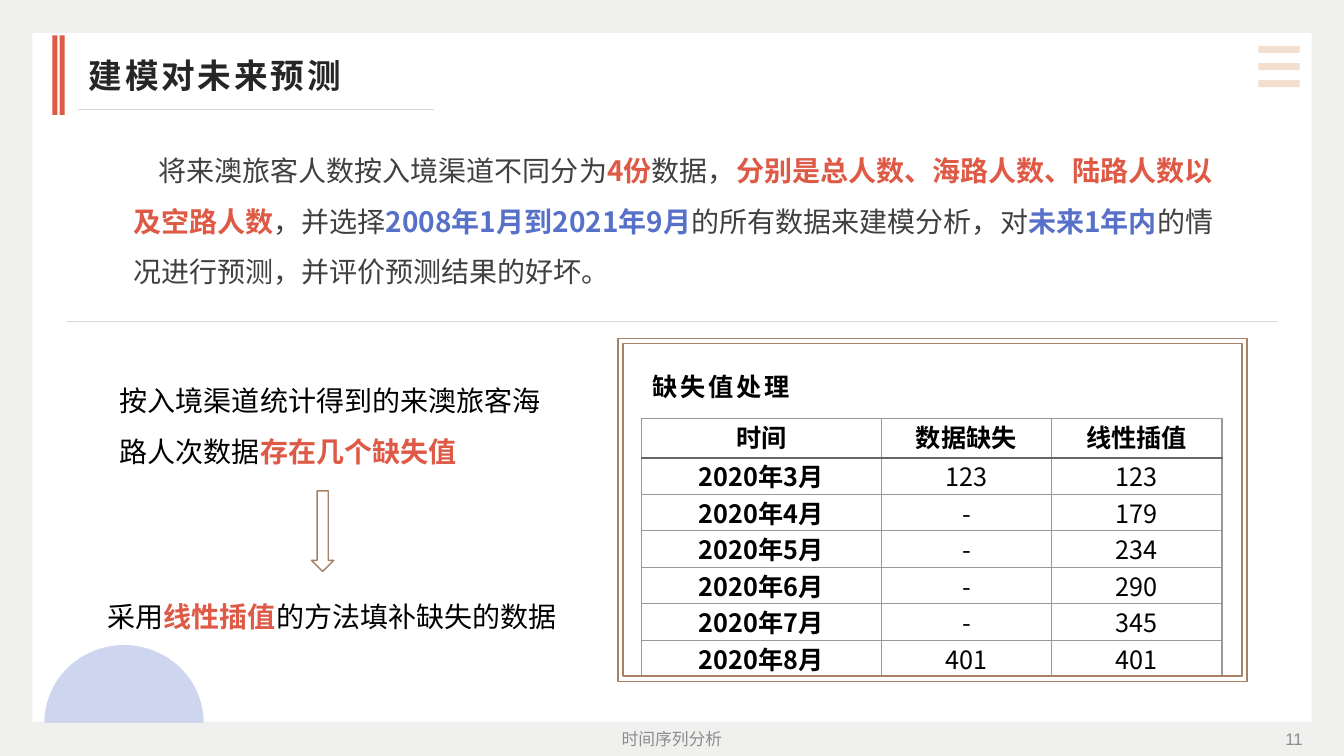
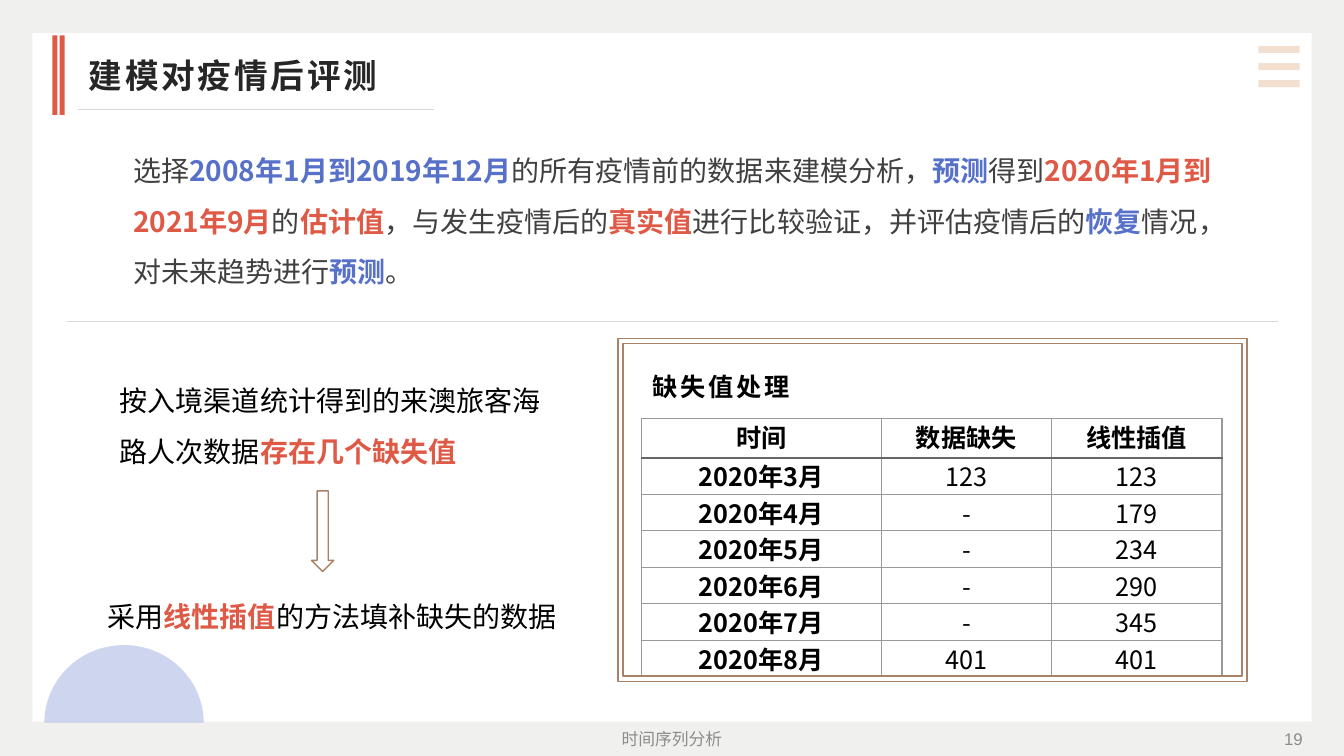
from math import cos, pi, sin

from lxml import etree
from pptx import Presentation
from pptx.dml.color import RGBColor
from pptx.enum.shapes import MSO_CONNECTOR, MSO_SHAPE as Preset
from pptx.enum.text import MSO_ANCHOR as Anchor, MSO_AUTO_SIZE, PP_ALIGN as Align
from pptx.oxml.ns import qn
from pptx.util import Inches, Pt

SANS, ARIAL = "Noto Sans CJK SC", "Arial"
RED, BLUE, BLACK, BROWN = "DE5A46", "5771C9", "000000", "A78266"
BODY, TITLE, FOOTER = "404040", "262626", "8C8C8C"
GRID, HEADER_RULE = "999999", "666666"

SLIDES = [
    {
        "title": "建模对未来预测",
        "number": "11",
        "indent": 0.25,
        "summary": [
            ("将来澳旅客人数按入境渠道不同分为", BODY), ("4份", RED), ("数据，", BODY),
            ("分别是总人数、海路人数、陆路人数以及空路人数", RED), ("，并选择", BODY),
            ("2008年1月到2021年9月", BLUE), ("的所有数据来建模分析，对", BODY),
            ("未来1年内", BLUE), ("的情况进行预测，并评价预测结果的好坏。", BODY),
        ],
    },
    {
        "title": "建模对疫情后评测",
        "number": "19",
        "indent": 0,
        "summary": [
            ("选择", BODY), ("2008年1月到2019年12月", BLUE),
            ("的所有疫情前的数据来建模分析，", BODY), ("预测", BLUE), ("得到", BODY),
            ("2020年1月到2021年9月", RED), ("的", BODY), ("估计值", RED),
            ("，与发生疫情后的", BODY), ("真实值", RED),
            ("进行比较验证，并评估疫情后的", BODY), ("恢复", BLUE),
            ("情况，对未来趋势进行", BODY), ("预测", BLUE), ("。", BODY),
        ],
    },
]
PROBLEM = [("按入境渠道统计得到的来澳旅客海路人次数据", BLACK), ("存在几个缺失值", RED)]
SOLUTION = [("采用", BLACK), ("线性插值", RED), ("的方法填补缺失的数据", BLACK)]
TABLE_TITLE = "缺失值处理"
TABLE = [
    ("时间", "数据缺失", "线性插值"),
    ("2020年3月", "123", "123"),
    ("2020年4月", "-", "179"),
    ("2020年5月", "-", "234"),
    ("2020年6月", "-", "290"),
    ("2020年7月", "-", "345"),
    ("2020年8月", "401", "401"),
]
COLUMN_WIDTHS = (2.38, 1.69, 1.69)
HEADER_HEIGHT, ROW_HEIGHT = 0.39, 0.31
FOOTER_TEXT = "时间序列分析"

TIGHT = (0.11, 0, 0.09, 0)
DEFAULT_INSETS = (0.1, 0.05, 0.1, 0.05)


def rgb(value):
    return RGBColor.from_string(value)


def set_alpha(fill, percent):
    """Make a solid fill, or the fill of a line, partly transparent."""
    colour = fill._xPr.find(qn("a:solidFill"))[0]
    etree.SubElement(colour, qn("a:alpha")).set("val", str(percent * 1000))


def set_insets(target, insets):
    for side, value in zip(("left", "top", "right", "bottom"), insets):
        setattr(target, f"margin_{side}", Inches(value))


def write(paragraph, runs, size, font=SANS, bold=False, spacing=0, **layout):
    """Add (text, colour) runs; accent colours are always bold."""
    for name, value in layout.items():
        setattr(paragraph, name, value)
    for text, colour in runs:
        run = paragraph.add_run()
        run.text = text
        values = {"size": Pt(size), "name": font, "bold": bold or colour in (RED, BLUE)}
        for name, value in values.items():
            setattr(run.font, name, value)
        run.font.color.rgb = rgb(colour)
        properties = run.font._element
        etree.SubElement(properties, qn("a:ea")).set("typeface", SANS)
        if spacing:
            properties.set("spc", str(spacing * 100))


def prepare_frame(shape, box, insets, anchor):
    shape.left, shape.top, shape.width, shape.height = map(Inches, box)
    frame = shape.text_frame
    values = {"word_wrap": True, "auto_size": MSO_AUTO_SIZE.NONE, "vertical_anchor": anchor}
    for name, value in values.items():
        setattr(frame, name, value)
    set_insets(frame, insets)
    return frame.paragraphs[0]


def add_text(slide, box, runs, size, insets=DEFAULT_INSETS, anchor=Anchor.TOP, **style):
    shape = slide.shapes.add_textbox(*map(Inches, box))
    paragraph = prepare_frame(shape, box, insets, anchor)
    write(paragraph, runs, size, **style)
    return paragraph


def paint(shape, fill=None, line=None):
    shape.shadow.inherit = False
    if fill:
        shape.fill.solid()
        shape.fill.fore_color.rgb = rgb(fill)
    else:
        shape.fill.background()
    if line:
        shape.line.color.rgb = rgb(line)
        shape.line.width = Pt(1)
    else:
        shape.line.fill.background()
    return shape


def add_preset(slide, preset, box, **colours):
    return paint(slide.shapes.add_shape(preset, *map(Inches, box)), **colours)


def add_rule(slide, left, right, y, colour, width):
    rule = slide.shapes.add_connector(
        MSO_CONNECTOR.STRAIGHT, *map(Inches, (left, y, right, y)))
    rule.line.color.rgb = rgb(colour)
    rule.line.width = Pt(width)
    etree.SubElement(rule._element.spPr, qn("a:effectLst"))
    return rule


def add_dome(slide, left, top, width, height, steps=60):
    points = [
        (Inches(left + width / 2 * (1 - cos(pi * step / steps))),
         Inches(top + height * (1 - sin(pi * step / steps))))
        for step in range(steps + 1)
    ]
    builder = slide.shapes.build_freeform(*points[0])
    builder.add_line_segments(points[1:], close=True)
    dome = paint(builder.convert_to_shape(), fill="9FAEE0")
    set_alpha(dome.fill, 50)
    return dome


def build_layout(layout, slide):
    """Put the background, panel, menu lines and dome on the layout."""
    layout.background.fill.solid()
    layout.background.fill.fore_color.rgb = rgb("F0F0EF")
    for placeholder in list(layout.placeholders):
        if placeholder.placeholder_format.idx:
            layout.shapes.element.remove(placeholder.element)
    parts = [add_preset(slide, Preset.RECTANGLE, (0.32, 0.33, 12.69, 6.83), fill="FFFFFF")]
    for index in range(3):
        menu_line = add_rule(slide, 12.48, 12.89, 0.49 + 0.17 * index, "E2B08A", 5)
        set_alpha(menu_line.line.fill, 40)
        parts.append(menu_line)
    parts.append(add_dome(slide, 0.44, 6.4, 1.58, 0.77))
    for part in parts:
        layout.shapes.element.append(part.element)


def set_borders(cell, **edges):
    properties = cell._tc.get_or_add_tcPr()
    for position, (edge, (colour, width)) in enumerate(edges.items()):
        line = etree.Element(qn(f"a:ln{edge}"), w=str(Pt(width)))
        fill = etree.SubElement(line, qn("a:solidFill"))
        etree.SubElement(fill, qn("a:srgbClr")).set("val", colour)
        properties.insert(position, line)


def add_data_table(slide, left, top):
    height = HEADER_HEIGHT + ROW_HEIGHT * (len(TABLE) - 1)
    table = slide.shapes.add_table(
        len(TABLE), len(COLUMN_WIDTHS),
        *map(Inches, (left, top, sum(COLUMN_WIDTHS), height))).table
    table.first_row = table.horz_banding = False
    for column, width in zip(table.columns, COLUMN_WIDTHS):
        column.width = Inches(width)
    thin, thick = (GRID, 1), (HEADER_RULE, 1.5)
    for row, values in enumerate(TABLE):
        table.rows[row].height = Inches(ROW_HEIGHT if row else HEADER_HEIGHT)
        for column, value in enumerate(values):
            cell = table.cell(row, column)
            set_insets(cell, (0.07, 0, 0.07, 0))
            cell.vertical_anchor = Anchor.BOTTOM if row and column == 2 else Anchor.TOP
            cell.fill.background()
            set_borders(cell, L=thin, R=thin, T=thick if row == 1 else thin,
                        B=thin if row else thick)
            write(cell.text_frame.paragraphs[0], [(value, BLACK)], 18,
                  bold=not row or not column, alignment=Align.CENTER)


def build_slide(slide, content):
    title = prepare_frame(slide.shapes.title, (0.77, 0.5, 3.54, 0.62),
                          (0.11, 0.04, 0.08, 0.04), Anchor.TOP)
    write(title, [(content["title"], TITLE)], 24, font=ARIAL, bold=True, spacing=2,
          alignment=Align.LEFT)
    for left in (0.52, 0.59):
        add_preset(slide, Preset.RECTANGLE, (left, 0.35, 0.05, 0.79), fill=RED)
    add_rule(slide, 0.77, 4.3, 1.09, "D8D8D8", 0.75)
    add_rule(slide, 0.66, 12.68, 3.19, "D9D9D9", 0.25)

    summary = add_text(slide, (1.21, 1.36, 10.92, 1.64), content["summary"], 20,
                       insets=TIGHT, line_spacing=1.5, space_after=Pt(10))
    if content["indent"]:
        summary._p.get_or_add_pPr().set("indent", str(Inches(content["indent"])))

    add_text(slide, (1.09, 3.59, 4.44, 1.03), PROBLEM, 20, line_spacing=1.5)
    add_preset(slide, Preset.DOWN_ARROW, (3.09, 4.87, 0.22, 0.8), line=BROWN)
    add_text(slide, (0.97, 5.73, 4.8, 0.53), SOLUTION, 20, line_spacing=1.5)

    add_text(slide, (6.36, 3.59, 1.73, 0.43), [(TABLE_TITLE, BLACK)], 18, insets=TIGHT,
             font=ARIAL, bold=True, spacing=2, line_spacing=1.3, space_after=Pt(10))
    add_data_table(slide, 6.36, 4.15)
    frame = add_preset(slide, Preset.FRAME, (6.13, 3.36, 6.24, 3.4), line=BROWN)
    frame.adjustments[0] = 0.015

    footers = [(4.5, 4.33, FOOTER_TEXT, Align.CENTER),
               (10.07, 2.95, content["number"], Align.RIGHT)]
    for left, width, text, alignment in footers:
        add_text(slide, (left, 7.15, width, 0.35), [(text, FOOTER)], 12,
                 anchor=Anchor.MIDDLE, font=ARIAL, alignment=alignment)


def main():
    presentation = Presentation()
    presentation.slide_width, presentation.slide_height = Inches(13.33), Inches(7.5)
    layout = presentation.slide_layouts.get_by_name("Title Only")
    slides = [presentation.slides.add_slide(layout) for _ in SLIDES]
    build_layout(layout, slides[0])
    for slide, content in zip(slides, SLIDES):
        build_slide(slide, content)
    presentation.save("out.pptx")


if __name__ == "__main__":
    main()
